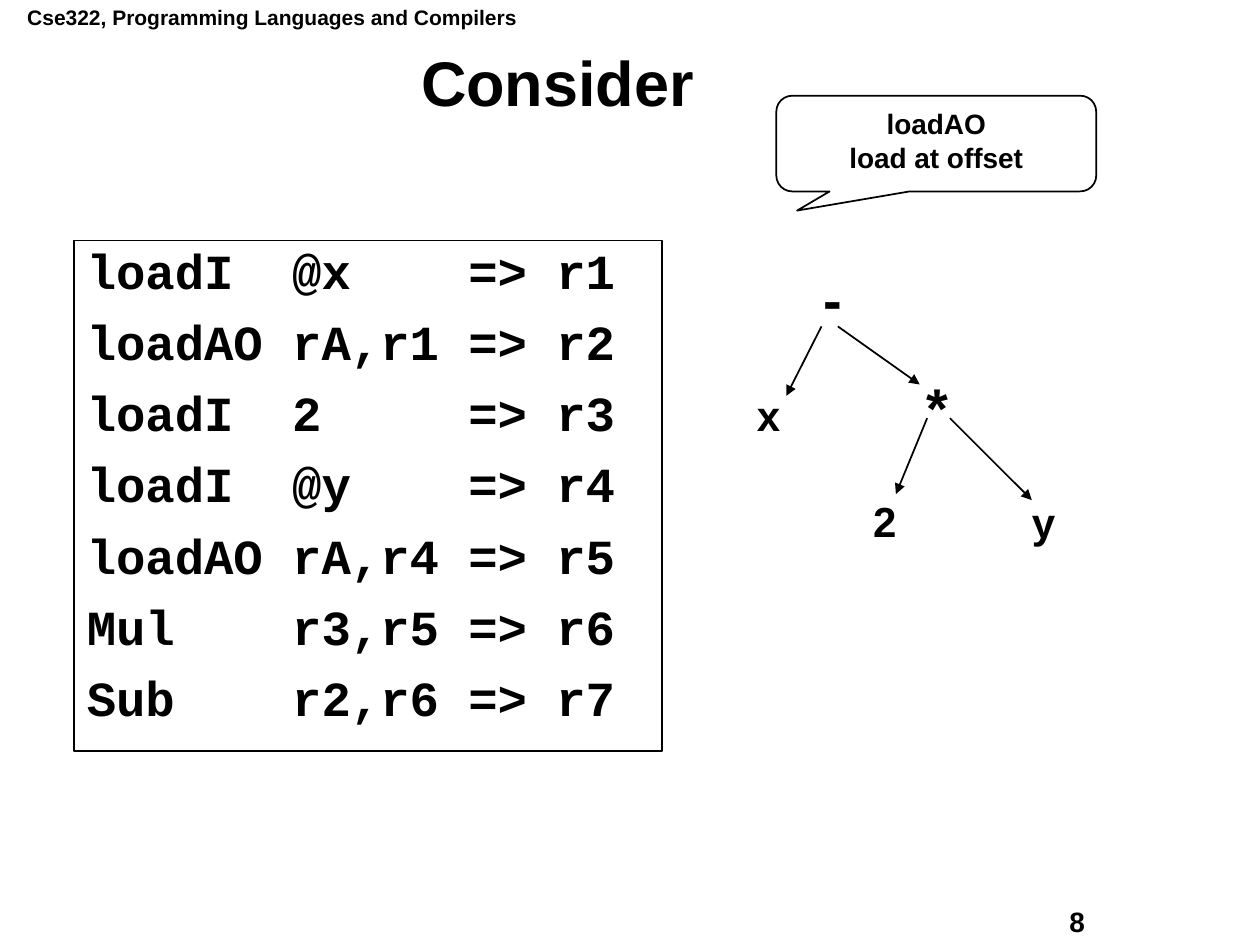
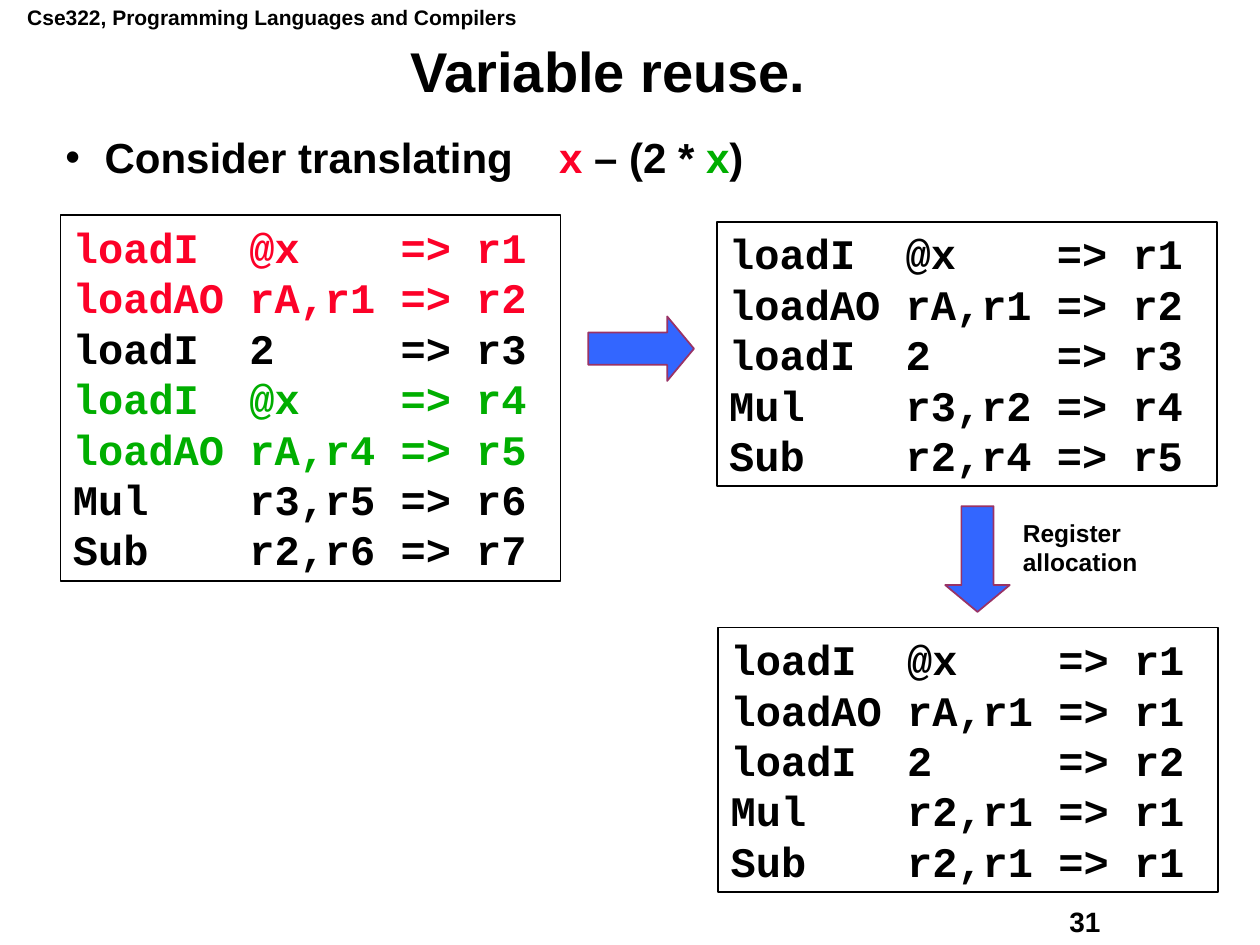
from dataclasses import dataclass

from lxml import etree
from pptx import Presentation
from pptx.dml.color import RGBColor as RGB
from pptx.enum.shapes import MSO_CONNECTOR as CONN, MSO_SHAPE as SHAPE
from pptx.enum.text import MSO_ANCHOR as ANCHOR, PP_ALIGN as ALIGN
from pptx.oxml.ns import qn
from pptx.util import Cm, Pt


@dataclass(frozen=True)
class Theme:
    ink: RGB = RGB(0, 0, 0)
    paper: RGB = RGB(255, 255, 255)
    red: RGB = RGB(0xFC, 0x01, 0x28)
    green: RGB = RGB(0x00, 0xAE, 0x00)
    arrow: RGB = RGB(0x33, 0x66, 0xFF)
    arrow_edge: RGB = RGB(0x99, 0x33, 0x66)
    sans: str = "Arial"
    mono: str = "Courier New"
    header: int = 12
    label: int = 14
    note: int = 16
    body: int = 24
    operator: int = 32
    line: int = 1


T = Theme()
COURSE = "Cse322, Programming Languages and Compilers"


def write(sp, paragraphs, *, size, font=T.sans, align=ALIGN.LEFT,
          anchor=ANCHOR.TOP, spacing=1.0, before=0, wrap=True, bullet_tab=None):
    tf = sp.text_frame
    tf.word_wrap = wrap
    tf.vertical_anchor = anchor
    for i, runs in enumerate(paragraphs):
        p = tf.paragraphs[0] if i == 0 else tf.add_paragraph()
        if bullet_tab:
            add_bullet(p, bullet_tab)
        p.alignment = align
        p.line_spacing = spacing
        if i:
            p.space_before = Pt(before)
        for text, color in runs:
            r = p.add_run()
            r.text = text
            r.font.name = font
            r.font.size = Pt(size)
            r.font.bold = True
            r.font.color.rgb = color
    return sp


def add_bullet(p, tab):
    pPr = p._p.get_or_add_pPr()
    pPr.set("marL", str(Cm(0.79)))
    pPr.set("indent", str(-Cm(0.79)))
    etree.SubElement(pPr, qn("a:buFont"), typeface=T.sans)
    etree.SubElement(pPr, qn("a:buChar"), char="•")
    tabs = etree.SubElement(pPr, qn("a:tabLst"))
    etree.SubElement(tabs, qn("a:tab"), pos=str(Cm(tab)), algn="l")


def plain(*lines):
    return [[(line, T.ink)] for line in lines]


def add_text(slide, box, paragraphs, **fmt):
    sp = slide.shapes.add_textbox(*map(Cm, box))
    return write(sp, paragraphs, **fmt)


def add_shape(slide, kind, box, fill=None, edge=T.ink, adjust=()):
    sp = slide.shapes.add_shape(kind, *map(Cm, box))
    sp.shadow.inherit = False
    if fill is None:
        sp.fill.background()
    else:
        sp.fill.solid()
        sp.fill.fore_color.rgb = fill
    sp.line.color.rgb = edge
    sp.line.width = Pt(T.line)
    for i, value in enumerate(adjust):
        sp.adjustments[i] = value
    return sp


def add_code(slide, box, code, colors=None, **fmt):
    paragraphs = []
    for i, instruction in enumerate(code):
        op, args, target = instruction.split()
        color = (colors or {}).get(i, T.ink)
        paragraphs.append([(f"{op:<6} {args:<5} => {target}", color)])
    write(add_shape(slide, SHAPE.RECTANGLE, box), paragraphs, font=T.mono, **fmt)


def add_block_arrow(slide, left, top, rotation=0):
    sp = add_shape(slide, SHAPE.RIGHT_ARROW, (left, top, 2.13, 1.3),
                   T.arrow, T.arrow_edge, (0.5, 0.415))
    sp.rotation = rotation


def add_branch(slide, start, end):
    cx = slide.shapes.add_connector(CONN.STRAIGHT, *map(Cm, start + end))
    cx.line.color.rgb = T.ink
    cx.line.width = Pt(T.line)
    etree.SubElement(cx.line._get_or_add_ln(), qn("a:tailEnd"), type="triangle")
    etree.SubElement(cx._element.spPr, qn("a:effectLst"))


def add_slide(prs, number, title, title_box, title_size):
    slide = prs.slides.add_slide(prs.slide_layouts[6])
    add_text(slide, (0.3, -0.03, 10.39, 0.76), plain(COURSE), size=T.header, wrap=False)
    add_text(slide, (21.31, 18.11, 3.23, 0.91), plain(number), size=T.note, wrap=False)
    add_text(slide, title_box, plain(title), size=title_size,
             align=ALIGN.CENTER, anchor=ANCHOR.MIDDLE, spacing=0.9)
    return slide


def add_tree(slide):
    nodes = [("-", 16.36, 5.21, T.operator), ("x", 15.01, 7.72, T.body),
             ("*", 18.42, 7.39, T.operator), ("2", 17.35, 9.86, T.body),
             ("y", 20.55, 9.88, T.body)]
    for text, left, top, size in nodes:
        height = 1.63 if size == T.operator else 1.27
        add_text(slide, (left, top, 2.26, height), plain(text), size=size)
    branches = [((16.56, 6.58), (15.85, 7.98)), ((16.89, 6.58), (18.54, 7.75)),
                ((18.69, 8.43), (18.06, 9.96)), ((19.15, 8.43), (20.8, 10.08))]
    for start, end in branches:
        add_branch(slide, start, end)


def build_consider(prs):
    slide = add_slide(prs, "8", "Consider", (0.94, 1.07, 20.6, 1.32), 36)
    code = ["loadI @x r1", "loadAO rA,r1 r2", "loadI 2 r3", "loadI @y r4",
            "loadAO rA,r4 r5", "Mul r3,r5 r6", "Sub r2,r6 r7"]
    add_code(slide, (1.5, 4.85, 11.84, 10.29), code, size=28, spacing=0.9, before=10.5)
    add_tree(slide)
    callout = add_shape(slide, SHAPE.ROUNDED_RECTANGULAR_CALLOUT,
                        (15.65, 1.93, 6.45, 1.93), T.paper, adjust=(-0.435, 0.7, 0.167))
    write(callout, plain("loadAO", "load at offset"), size=T.note, align=ALIGN.CENTER)


def build_reuse(prs):
    slide = add_slide(prs, "31", "Variable reuse.", (0.79, 0.79, 22.94, 1.42), 32)
    expression = [("Consider translating\t", T.ink), ("x", T.red), (" – (2 * ", T.ink),
                  ("x", T.green), (")", T.ink)]
    add_text(slide, (1.07, 2.64, 22.53, 1.63), [expression], size=T.body,
             spacing=0.9, bullet_tab=9.95)

    translated = ["loadI @x r1", "loadAO rA,r1 r2", "loadI 2 r3", "loadI @x r4",
                  "loadAO rA,r4 r5", "Mul r3,r5 r6", "Sub r2,r6 r7"]
    reused = ["loadI @x r1", "loadAO rA,r1 r2", "loadI 2 r3",
              "Mul r3,r2 r4", "Sub r2,r4 r5"]
    allocated = ["loadI @x r1", "loadAO rA,r1 r1", "loadI 2 r2",
                 "Mul r2,r1 r1", "Sub r2,r1 r1"]
    loads = {0: T.red, 1: T.red, 3: T.green, 4: T.green}
    add_code(slide, (1.22, 4.34, 10.08, 7.37), translated, loads, size=T.body)
    add_code(slide, (14.45, 4.47, 10.08, 5.33), reused, size=T.body)
    add_block_arrow(slide, 11.86, 6.38)
    add_block_arrow(slide, 18.64, 10.62, rotation=90)
    add_code(slide, (14.48, 12.65, 10.08, 5.33), allocated, size=T.body)
    add_text(slide, (20.37, 10.31, 3.15, 1.45), plain("Register allocation"), size=T.label)


def main():
    prs = Presentation()
    prs.slide_width, prs.slide_height = Cm(25.4), Cm(19.05)
    build_consider(prs)
    build_reuse(prs)
    prs.save("out.pptx")


if __name__ == "__main__":
    main()
